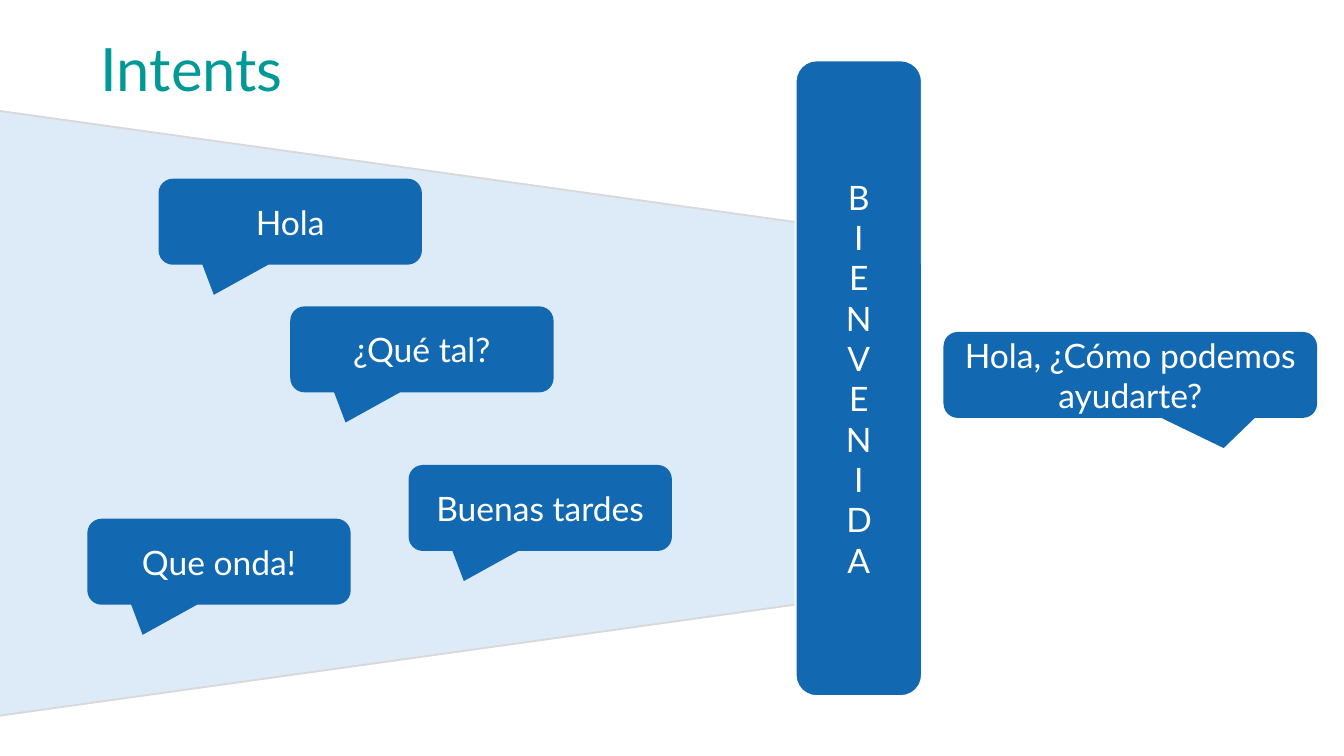
from dataclasses import dataclass

from pptx import Presentation
from pptx.dml.color import RGBColor
from pptx.enum import shapes, text
from pptx.util import Inches, Pt

FONT = "Lato"
COLORS = {
    "title": "009996",
    "funnel": "DCEBF7",
    "funnel_line": "D9D9D9",
    "blue": "1269B2",
    "white": "FFFFFF",
}


@dataclass
class Bubble:
    label: str
    left: float
    top: float
    width: float = 1.96
    tail_x: float = -0.29


BUBBLES = [
    Bubble("Hola", 1.18, 1.33),
    Bubble("¿Qué tal?", 2.16, 2.28),
    Bubble("Buenas tardes", 3.04, 3.46),
    Bubble("Que onda!", 0.65, 3.86),
]
REPLY = Bubble("Hola, ¿Cómo podemos ayudarte?", 7.02, 2.47, 2.78, 0.25)


def rgb(name: str) -> RGBColor:
    return RGBColor.from_string(COLORS[name])


def add_box(s, kind, left: float, top: float, width: float, height: float,
            fill: str, line: str | None = None):
    sp = s.shapes.add_shape(kind, Inches(left), Inches(top), Inches(width), Inches(height))
    sp.shadow.inherit = False
    sp.fill.solid()
    sp.fill.fore_color.rgb = rgb(fill)
    if line:
        sp.line.color.rgb = rgb(line)
        sp.line.width = Pt(1)
    else:
        sp.line.fill.background()
    return sp


def add_run(p, words: str, size: int, color: str) -> None:
    r = p.add_run()
    r.text = words
    r.font.name = FONT
    r.font.size = Pt(size)
    r.font.color.rgb = rgb(color)


def add_label(sp, words: str) -> None:
    tf = sp.text_frame
    tf.word_wrap = True
    tf.vertical_anchor = text.MSO_ANCHOR.MIDDLE
    p = tf.paragraphs[0]
    p.alignment = text.PP_ALIGN.CENTER
    add_run(p, words, 18, "white")


def add_bubble(s, b: Bubble) -> None:
    sp = add_box(s, shapes.MSO_SHAPE.ROUNDED_RECTANGULAR_CALLOUT,
                 b.left, b.top, b.width, 0.64, "blue")
    sp.adjustments[0] = b.tail_x
    sp.adjustments[1] = 0.85
    add_label(sp, b.label)


def add_title(s, words: str) -> None:
    tf = s.shapes.add_textbox(Inches(0.65), Inches(0.19), Inches(8.1), Inches(0.64)).text_frame
    tf.word_wrap = True
    tf.auto_size = text.MSO_AUTO_SIZE.SHAPE_TO_FIT_TEXT
    add_run(tf.paragraphs[0], words, 32, "title")


def add_intent_bar(s, words: str) -> None:
    """Draw the tall bar with its letters stacked upright."""
    sp = add_box(s, shapes.MSO_SHAPE.ROUNDED_RECTANGLE, 5.92, 0.45, 0.94, 4.73, "blue", "white")
    add_label(sp, words)
    sp.element.txBody.bodyPr.set("vert", "wordArtVert")


def main() -> None:
    prs = Presentation()
    prs.slide_width = Inches(10)
    prs.slide_height = Inches(10 * 9 / 16)
    s = prs.slides.add_slide(prs.slide_layouts[6])

    funnel = add_box(s, shapes.MSO_SHAPE.FLOWCHART_MANUAL_OPERATION,
                     0.87, -0.17, 4.53, 6.49, "funnel", "funnel_line")
    funnel.rotation = 270
    add_title(s, "Intents")
    for b in BUBBLES:
        add_bubble(s, b)
    add_intent_bar(s, "BIENVENIDA")
    add_bubble(s, REPLY)

    prs.save("out.pptx")


if __name__ == "__main__":
    main()
